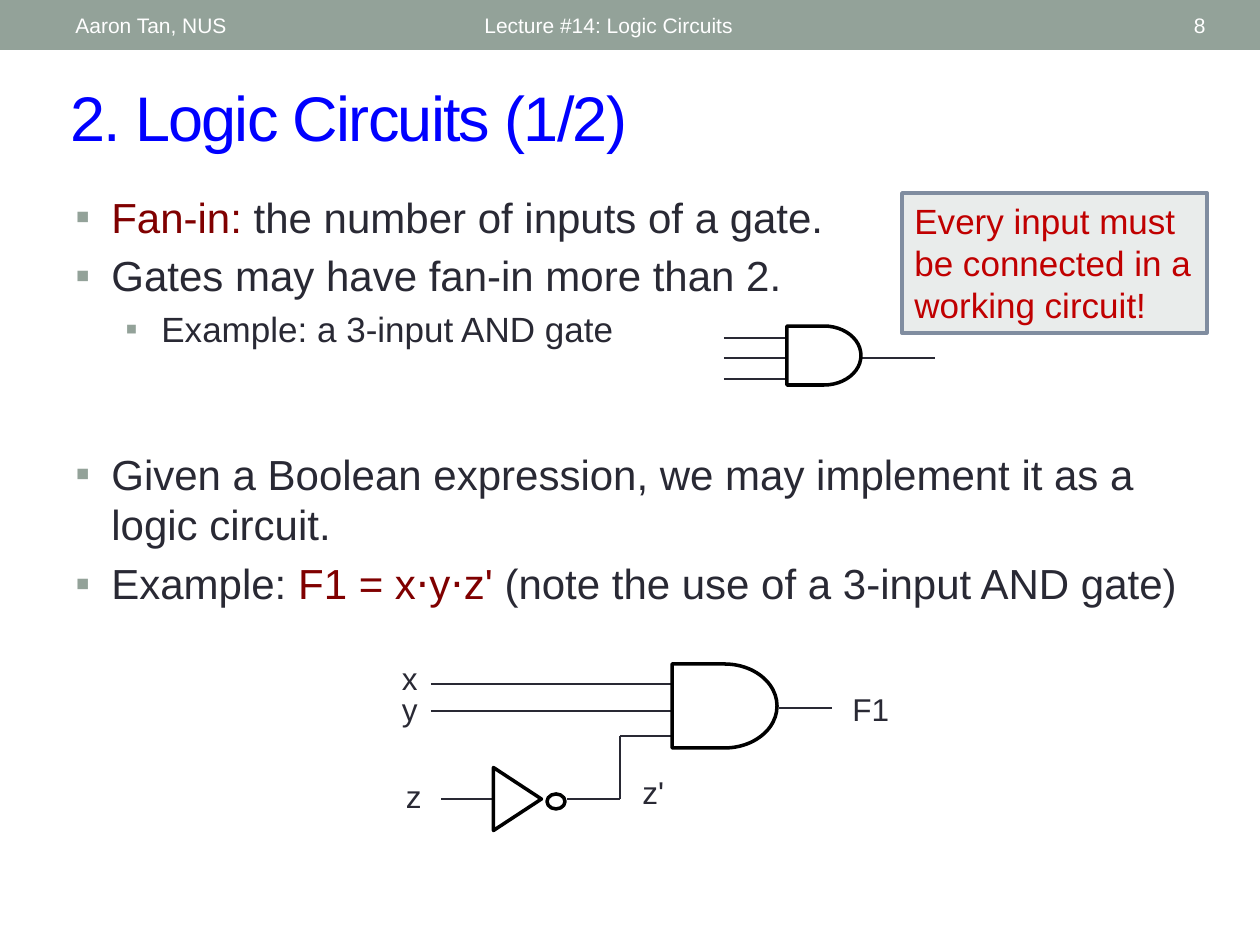
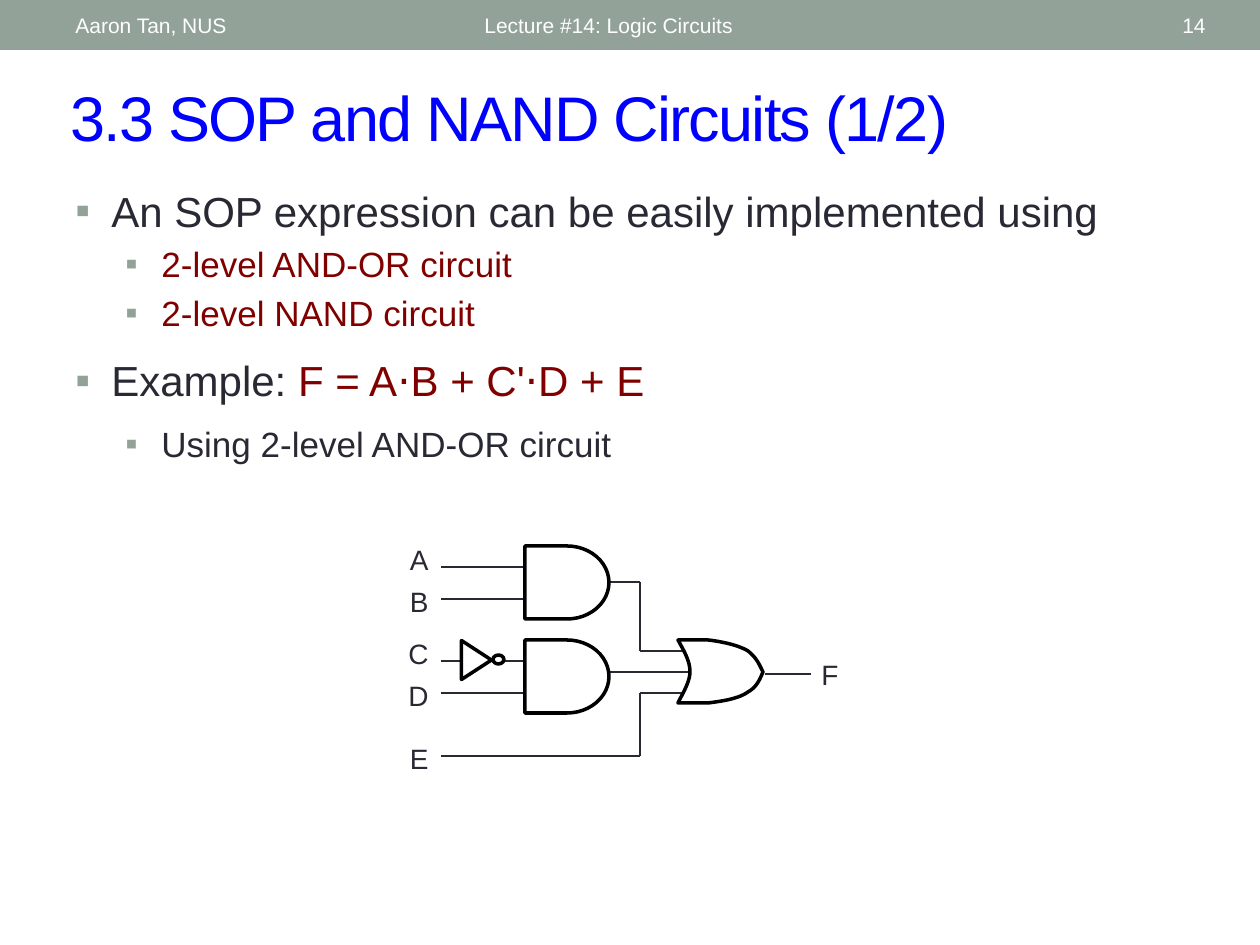
from itertools import pairwise

from lxml import etree
from pptx import Presentation
from pptx.dml.color import RGBColor
from pptx.enum.shapes import MSO_CONNECTOR, MSO_SHAPE
from pptx.enum.text import MSO_ANCHOR, PP_ALIGN
from pptx.oxml.ns import qn
from pptx.util import Pt

EMU_PER_PX = 914400 / 126
FONT = "Arial"

SAGE = RGBColor(0x93, 0xA2, 0x99)
WHITE = RGBColor(0xFF, 0xFF, 0xFF)
BLACK = RGBColor(0x00, 0x00, 0x00)
BLUE = RGBColor(0x00, 0x00, 0xFF)
INK = RGBColor(0x29, 0x29, 0x34)
MAROON = RGBColor(0x80, 0x00, 0x00)
RED = RGBColor(0xC0, 0x00, 0x00)
PALE = RGBColor(0xE9, 0xEC, 0xEB)
SLATE = RGBColor(0x80, 0x8D, 0xA0)

LEFT, RIGHT = PP_ALIGN.LEFT, PP_ALIGN.RIGHT
TOP, MIDDLE = MSO_ANCHOR.TOP, MSO_ANCHOR.MIDDLE
STRAIGHT = MSO_CONNECTOR.STRAIGHT
RECTANGLE = MSO_SHAPE.RECTANGLE
AND_GATE = MSO_SHAPE.FLOWCHART_DELAY
TRIANGLE = MSO_SHAPE.FLOWCHART_MERGE
BUBBLE = MSO_SHAPE.OVAL

LEVEL_SIZES = (24, 20)
LEVEL_MARGINS = (36, 86)
HANGING = 36

# Body paragraphs are (level, space before as a share of the size, runs).
# Wires are chains of points; labels are (text, left, top, width, alignment).
SLIDES = [
    {
        "title": "2. Logic Circuits (1/2)",
        "number": "8",
        "bodies": [
            ((63, 185, 1134, 194), [
                (0, 0, [("Fan-in:", MAROON), (" the number of inputs of a gate.", INK)]),
                (0, 0.2, [("Gates may have fan-in more than 2.", INK)]),
                (1, 0.2, [("Example: a 3-input AND gate", INK)]),
            ]),
            ((63, 442, 1134, 289), [
                (0, 0, [("Given a Boolean expression, we may implement it as a logic circuit.", INK)]),
                (0, 0.2, [("Example: ", INK), ("F1 = x⋅y⋅z'", MAROON),
                          (" (note the use of a 3-input AND gate)", INK)]),
            ]),
        ],
        "wires": [
            [(724, 338), (787, 338)],
            [(724, 358), (787, 358)],
            [(724, 379), (787, 379)],
            [(861, 358), (935, 358)],
            [(431, 684), (672, 684)],
            [(431, 711), (672, 711)],
            [(441, 799), (494, 799)],
            [(567, 799), (620, 799), (620, 736), (672, 736)],
            [(779, 708), (832, 708)],
        ],
        "gates": [
            (AND_GATE, (787, 326, 74, 59)),
            (AND_GATE, (672, 664, 105, 84)),
            (TRIANGLE, (486, 775, 63, 48)),
            (BUBBLE, (547, 794, 18, 15)),
        ],
        "label_size": 18,
        "labels": [
            ("x", 388, 653, 42, RIGHT),
            ("y", 388, 684, 42, RIGHT),
            ("z", 392, 771, 42, RIGHT),
            ("z'", 630, 767, 53, LEFT),
            ("F1", 840, 684, 73, LEFT),
        ],
    },
    {
        "title": "3.3 SOP and NAND Circuits (1/2)",
        "number": "14",
        "bodies": [
            ((63, 179, 1134, 331), [
                (0, 0, [("An SOP expression can be easily implemented using", INK)]),
                (1, 0.2, [("2-level AND-OR circuit", MAROON)]),
                (1, 0.2, [("2-level NAND circuit", MAROON)]),
                (0, 0.5, [("Example:", INK), (" F = A⋅B + C'⋅D + E", MAROON)]),
                (1, 0.5, [("Using 2-level AND-OR circuit", INK)]),
            ]),
        ],
        "wires": [
            [(441, 567), (525, 567)],
            [(441, 599), (525, 599)],
            [(441, 661), (525, 661)],
            [(441, 693), (525, 693)],
            [(441, 756), (640, 756), (640, 693), (683, 693)],
            [(609, 582), (640, 582), (640, 651), (683, 651)],
            [(609, 672), (690, 672)],
            [(765, 674), (811, 674)],
        ],
        "gates": [
            (AND_GATE, (525, 546, 84, 73)),
            (AND_GATE, (525, 640, 84, 73)),
            (TRIANGLE, (457, 645, 39, 30)),
            (BUBBLE, (493, 655, 11, 9)),
        ],
        "label_size": 16,
        "labels": [
            ("A", 388, 536, 53, RIGHT),
            ("B", 388, 578, 53, RIGHT),
            ("C", 388, 630, 53, RIGHT),
            ("D", 388, 672, 53, RIGHT),
            ("E", 388, 735, 53, RIGHT),
            ("F", 809, 651, 60, LEFT),
        ],
    },
]

# Cubic segments, each starting where the one before ends.
OR_START = (678, 640)
OR_CURVES = [
    [(684, 651), (690, 661), (690, 672)],
    [(690, 683), (680, 698), (678, 703)],
    [(688, 703), (698, 703), (708, 703)],
    [(725, 701), (740, 698), (748, 692)],
    [(757, 687), (760, 679), (763, 672)],
    [(760, 666), (757, 658), (748, 651)],
    [(740, 646), (725, 642), (708, 640)],
    [(698, 640), (688, 640), (678, 640)],
]
CURVE_STEPS = 12


def emu(lengths):
    return [round(length * EMU_PER_PX) for length in lengths]


def add_text(slide, box, text, size, color, align=LEFT, anchor=TOP):
    """Add a wrapping text box and return its single run."""
    frame = slide.shapes.add_textbox(*emu(box)).text_frame
    frame.word_wrap = True
    frame.vertical_anchor = anchor
    frame.text = text
    frame.paragraphs[0].alignment = align
    run = frame.paragraphs[0].runs[0]
    run.font.name = FONT
    run.font.size = Pt(size)
    run.font.color.rgb = color
    return run


prs = Presentation()
prs.slide_width, prs.slide_height = emu((1260, 945))
slides = []

for content in SLIDES:
    slide = prs.slides.add_slide(prs.slide_layouts[6])
    slides.append(slide)

    band = slide.shapes.add_shape(RECTANGLE, *emu((0, 0, 1260, 50)))
    band.shadow.inherit = False
    band.fill.solid()
    band.fill.fore_color.rgb = SAGE
    band.line.fill.background()
    add_text(slide, (63, 3, 399, 45), "Aaron Tan, NUS", 12, WHITE, anchor=MIDDLE)
    add_text(slide, (472, 3, 567, 45), "Lecture #14: Logic Circuits", 12, WHITE, anchor=MIDDLE)
    add_text(slide, (1099, 3, 119, 45), content["number"], 12, WHITE, RIGHT, MIDDLE)

    title = add_text(slide, (58, 72, 1143, 88), content["title"], 36, BLUE, anchor=MIDDLE)
    title.font._element.set("spc", "-100")

    for box, paragraphs in content["bodies"]:
        frame = slide.shapes.add_textbox(*emu(box)).text_frame
        frame.word_wrap = True
        for index, (level, gap, runs) in enumerate(paragraphs):
            paragraph = frame.add_paragraph() if index else frame.paragraphs[0]
            size = LEVEL_SIZES[level]
            paragraph.level = level
            paragraph.space_before = Pt(gap * size)
            margin, hanging = emu((LEVEL_MARGINS[level], HANGING))
            properties = paragraph._p.get_or_add_pPr()
            properties.set("marL", str(margin))
            properties.set("indent", str(-hanging))
            bullet_color = etree.SubElement(properties, qn("a:buClr"))
            etree.SubElement(bullet_color, qn("a:srgbClr"), val=str(SAGE))
            etree.SubElement(properties, qn("a:buFont"), typeface=FONT)
            etree.SubElement(properties, qn("a:buChar"), char="▪")
            for text, color in runs:
                run = paragraph.add_run()
                run.text = text
                run.font.name = FONT
                run.font.size = Pt(size)
                run.font.color.rgb = color

    for chain in content["wires"]:
        for start, end in pairwise(chain):
            wire = slide.shapes.add_connector(STRAIGHT, *emu(start + end))
            wire.line.color.rgb = INK
            wire.line.width = Pt(1.5)
            etree.SubElement(wire._element.spPr, qn("a:effectLst"))

    gates = []
    for kind, box in content["gates"]:
        gate = slide.shapes.add_shape(kind, *emu(box))
        gate.rotation = 270 if kind == TRIANGLE else 0
        gates.append(gate)
    if content is SLIDES[1]:
        pen = OR_START
        outline = []
        for first, second, end in OR_CURVES:
            for step in range(1, CURVE_STEPS + 1):
                t = step / CURVE_STEPS
                outline.append(emu(
                    (1 - t) ** 3 * a + 3 * (1 - t) ** 2 * t * b + 3 * (1 - t) * t ** 2 * c + t ** 3 * d
                    for a, b, c, d in zip(pen, first, second, end)))
            pen = end
        or_gate = slide.shapes.build_freeform(*emu(OR_START))
        or_gate.add_line_segments(outline, close=True)
        gates.append(or_gate.convert_to_shape())
    for gate in gates:
        gate.shadow.inherit = False
        gate.fill.solid()
        gate.fill.fore_color.rgb = WHITE
        gate.line.color.rgb = BLACK
        gate.line.width = Pt(2)

    for text, left, top, width, align in content["labels"]:
        add_text(slide, (left, top, width, 48), text, content["label_size"], INK, align)

callout = slides[0].shapes.add_shape(RECTANGLE, *emu((902, 193, 305, 140)))
callout.shadow.inherit = False
callout.fill.solid()
callout.fill.fore_color.rgb = PALE
callout.line.color.rgb = SLATE
callout.line.width = Pt(2.08)
callout.text_frame.word_wrap = True
callout.text_frame.vertical_anchor = TOP
callout.text_frame.text = "Every input must be connected in a working circuit!"
warning = callout.text_frame.paragraphs[0]
warning.alignment = LEFT
warning.runs[0].font.name = FONT
warning.runs[0].font.size = Pt(20)
warning.runs[0].font.color.rgb = RED

prs.save("out.pptx")
